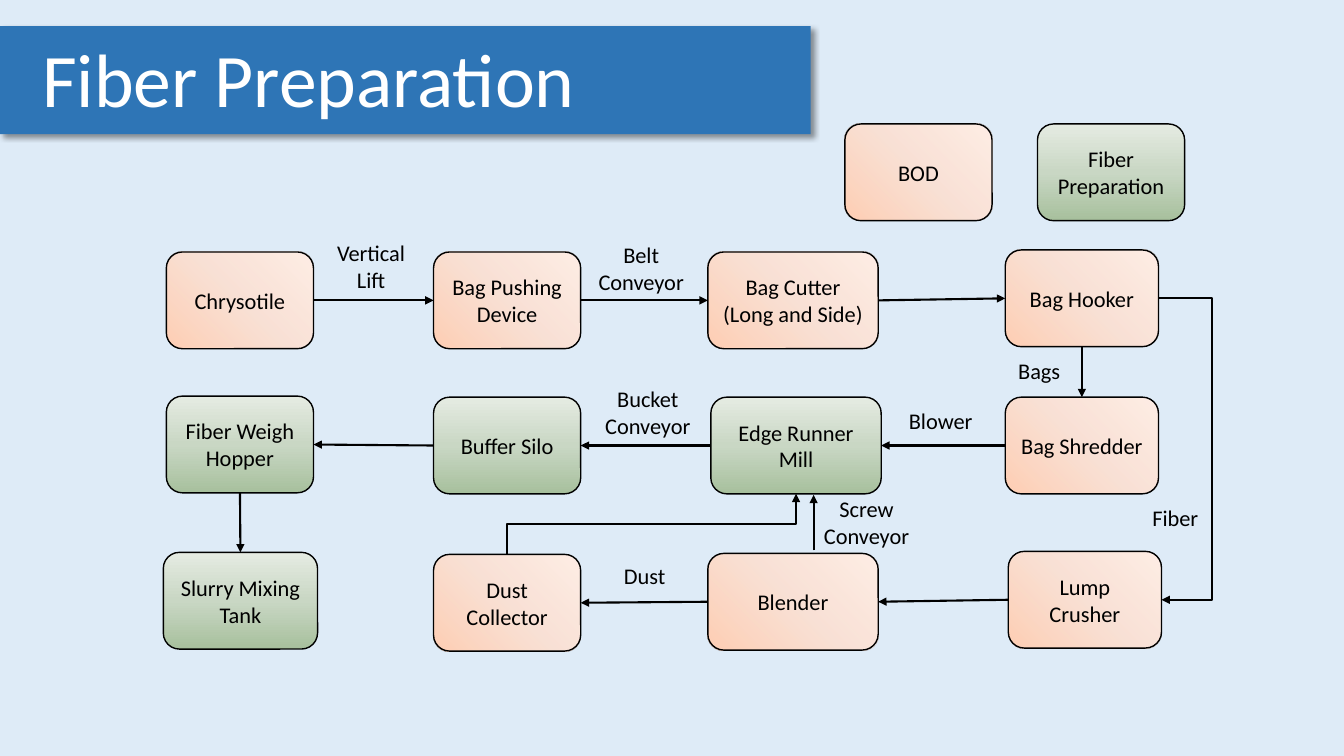
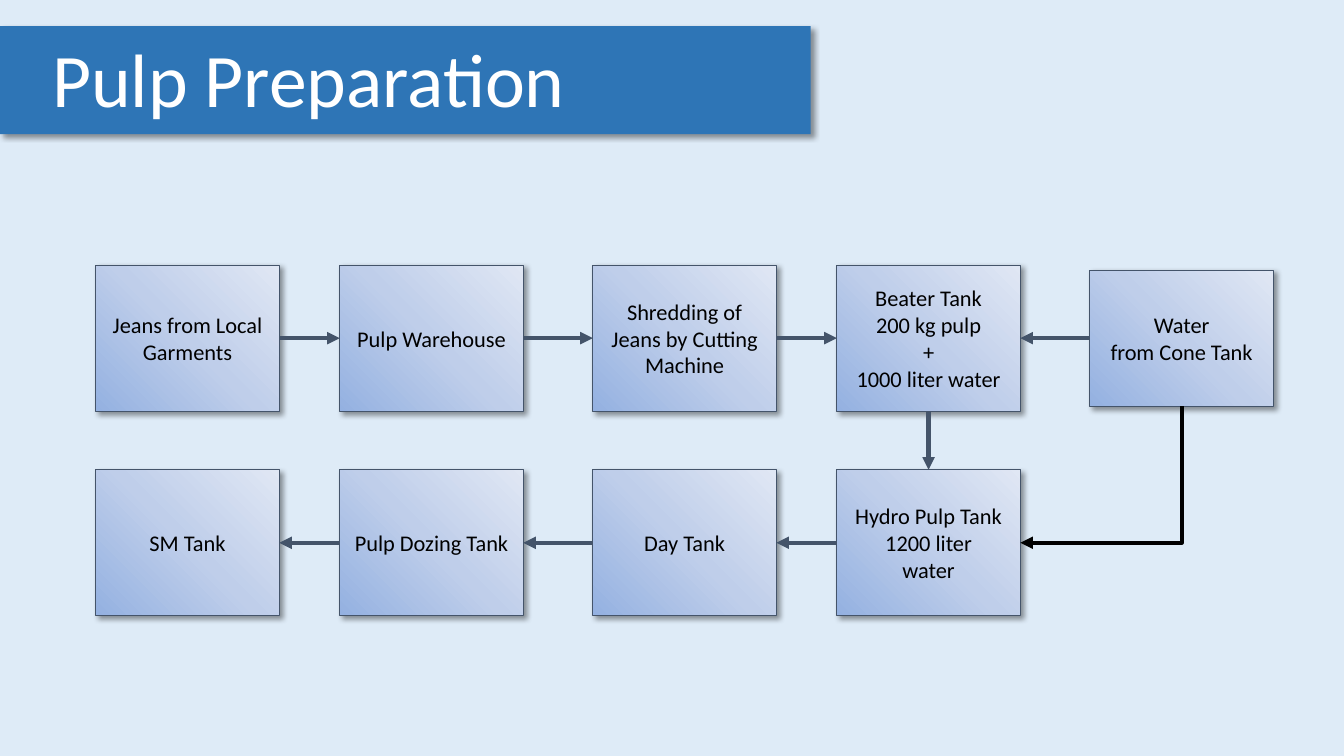
from dataclasses import dataclass

from pptx import Presentation
from pptx import util as u
from pptx.dml.color import RGBColor
from pptx.enum import shapes, text
from pptx.oxml import parse_xml
from pptx.oxml.ns import nsdecls, qn

PX = 9144  # EMU in one px, 100 px to the inch
TOP, LEFT, BOTTOM, RIGHT = range(4)  # connection sites of a box
CENTER, START = text.PP_ALIGN.CENTER, text.PP_ALIGN.LEFT


def px(*values):
    return [u.Emu(round(v * PX)) for v in values]


@dataclass(frozen=True)
class Gradient:
    stops: tuple  # (position %, colour, opacity %)
    angle: int


@dataclass(frozen=True)
class Theme:
    font: str = "Calibri"
    title_size: int = 54
    text_size: int = 16
    back: str = "DEEBF7"
    band: str = "2E75B6"
    white: str = "FFFFFF"
    ink: str = "000000"
    slate: str = "44546A"
    peach: Gradient = Gradient(
        ((0, "FFCEB3", 100), (50, "FFDFCF", 83), (100, "FFEFE7", 100)), 315)
    green: Gradient = Gradient(
        ((0, "A7C09D", 100), (50, "C9D7C4", 100), (100, "E5EBE2", 100)), 270)
    blue: Gradient = Gradient(
        ((0, "94B1E1", 100), (50, "BFCEEA", 100), (100, "E0E7F4", 100)), 315)


class Deck:
    """Holds the theme and the slide being drawn."""

    def __init__(self, theme):
        self.theme = theme
        self.prs = Presentation()
        self.prs.slide_width, self.prs.slide_height = u.Inches(13.33), u.Inches(7.5)
        self.paint(self.prs.slide_master.background.fill, theme.back)

    # Shared helpers
    def paint(self, fill, color):
        fill.solid()
        fill.fore_color.rgb = RGBColor.from_string(color)

    def outline(self, line, color, width):
        self.paint(line.fill, color)
        line.width = u.Pt(width)

    def blend(self, sp, gradient):
        stops = "".join(
            f'<a:gs pos="{pos * 1000}"><a:srgbClr val="{color}">'
            f'<a:alpha val="{alpha * 1000}"/></a:srgbClr></a:gs>'
            for pos, color, alpha in gradient.stops)
        sp.fill.gradient()
        spPr = sp._element.spPr
        spPr.replace(spPr.find(qn("a:gradFill")), parse_xml(
            f'<a:gradFill {nsdecls("a")} rotWithShape="1"><a:gsLst>{stops}</a:gsLst>'
            f'<a:lin ang="{gradient.angle * 60000}" scaled="0"/></a:gradFill>'))

    def cast_shadow(self, sp):
        sp.shadow.inherit = False
        sp._element.spPr.find(qn("a:effectLst")).append(parse_xml(
            f'<a:outerShdw {nsdecls("a")} blurRad="50800" dist="38100" dir="2700000" '
            'algn="tl" rotWithShape="0"><a:srgbClr val="000000">'
            '<a:alpha val="40000"/></a:srgbClr></a:outerShdw>'))

    def set_text(self, sp, words, size, color, align=CENTER,
                 anchor=text.MSO_ANCHOR.MIDDLE, insets=(10, 5, 10, 5)):
        tf = sp.text_frame
        tf.text = words
        left, top, right, bottom = px(*insets)
        frame = dict(word_wrap=True, auto_size=text.MSO_AUTO_SIZE.NONE,
                     vertical_anchor=anchor, margin_left=left, margin_top=top,
                     margin_right=right, margin_bottom=bottom)
        for name, value in frame.items():
            setattr(tf, name, value)
        for p in tf.paragraphs:
            p.alignment = align
            for r in p.runs:
                r.font.name, r.font.size = self.theme.font, u.Pt(size)
                r.font.color.rgb = RGBColor.from_string(color)

    # Elements
    def slide(self, title):
        layout = self.prs.slide_layouts.get_by_name("Title Only")
        self.shapes = self.prs.slides.add_slide(layout).shapes
        sp = self.shapes.title
        sp.left, sp.top, sp.width, sp.height = px(0, 26, 804, 107)
        self.paint(sp.fill, self.theme.band)
        self.cast_shadow(sp)
        self.set_text(sp, title, self.theme.title_size, self.theme.white,
                      insets=(0, 0, 192, 6))

    def box(self, words, at, gradient):
        """Rounded process step."""
        sp = self.shapes.add_shape(shapes.MSO_SHAPE.ROUNDED_RECTANGLE, *px(*at))
        sp.shadow.inherit = False
        self.blend(sp, gradient)
        self.outline(sp.line, self.theme.ink, 1)
        self.set_text(sp, words, self.theme.text_size, self.theme.ink)
        return sp

    def card(self, words, at):
        """Square process step with a shadow."""
        sp = self.shapes.add_shape(shapes.MSO_SHAPE.RECTANGLE, *px(*at))
        self.cast_shadow(sp)
        self.blend(sp, self.theme.blue)
        self.outline(sp.line, self.theme.slate, 0.75)
        self.set_text(sp, words, self.theme.text_size, self.theme.ink,
                      insets=(10, 10, 10, 10))
        return sp

    def label(self, words, at, align=CENTER):
        sp = self.shapes.add_textbox(*px(*at))
        self.set_text(sp, words, self.theme.text_size, self.theme.ink, align,
                      text.MSO_ANCHOR.TOP)

    def line(self, ends, color, width, kind=shapes.MSO_CONNECTOR.STRAIGHT):
        c = self.shapes.add_connector(kind, *ends)
        self.outline(c.line, color, width)
        spPr = c._element.spPr
        spPr.find(qn("a:ln")).append(
            parse_xml(f'<a:tailEnd {nsdecls("a")} type="triangle"/>'))
        spPr.append(parse_xml(f'<a:effectLst {nsdecls("a")}/>'))
        return c

    def site(self, sp, side):
        x = {LEFT: 0, RIGHT: sp.width}.get(side, sp.width // 2)
        y = {TOP: 0, BOTTOM: sp.height}.get(side, sp.height // 2)
        return sp.left + x, sp.top + y

    def arrow(self, a, side_a, b, side_b, color, width):
        c = self.line((*self.site(a, side_a), *self.site(b, side_b)), color, width)
        c.begin_connect(a, side_a)
        c.end_connect(b, side_b)

    def elbow(self, a, side_a, b, side_b, color, width, bends=2, via_x=None):
        """Bent arrow; one that leaves from top or bottom is turned by 90 degrees."""
        x0, y0, x1, y1 = ends = (*self.site(a, side_a), *self.site(b, side_b))
        turned = side_a in (TOP, BOTTOM)
        if turned:
            cx, cy = (x0 + x1) // 2, (y0 + y1) // 2
            ends = (cx + y0 - cy, cy - x0 + cx, cx + y1 - cy, cy - x1 + cx)
        c = self.line(ends, color, width, shapes.MSO_CONNECTOR.ELBOW)
        c.begin_connect(a, side_a)
        c.end_connect(b, side_b)
        for name, value in zip(("begin_x", "begin_y", "end_x", "end_y"), ends):
            setattr(c, name, value)
        spPr = c._element.spPr
        geom = spPr.find(qn("a:prstGeom"))
        geom.set("prst", f"bentConnector{bends + 1}")
        if turned:
            spPr.find(qn("a:xfrm")).set("rot", "5400000")
        if via_x is not None:
            adj = round((via_x * PX - x0) / (x1 - x0) * 100000)
            geom.replace(geom.find(qn("a:avLst")), parse_xml(
                f'<a:avLst {nsdecls("a")}><a:gd name="adj1" fmla="val {adj}"/></a:avLst>'))


def fiber_slide(deck):
    t = deck.theme
    deck.slide("Fiber Preparation")

    # Process steps: words, left, top, width
    steps = {
        t.green: [("Slurry Mixing Tank", 162, 548, 153),
                  ("Fiber Weigh Hopper", 165, 393, 146),
                  ("Buffer Silo", 430, 394, 146),
                  ("Edge Runner Mill", 705, 394, 169),
                  ("Fiber Preparation", 1029, 123, 146)],
        t.peach: [("Blender", 702, 549, 169),
                  ("Lump Crusher", 1000, 547, 152),
                  ("Bag Shredder", 997, 394, 152),
                  ("Bag Hooker", 997, 248, 152),
                  ("Bag Cutter\n(Long and Side)", 702, 250, 169),
                  ("Bag Pushing Device", 430, 250, 146),
                  ("Chrysotile", 165, 250, 146),
                  ("Dust Collector", 430, 550, 146),
                  ("BOD", 838, 123, 146)],
    }
    box = {words.split("\n")[0]: deck.box(words, (x, y, w, 96), gradient)
           for gradient, group in steps.items() for words, x, y, w in group}

    # Labels of the flows
    for words, *at in [("Bucket Conveyor", 562, 377, 161, 64),
                       ("Screw Conveyor", 791, 486, 137, 64),
                       ("Blower", 886, 399, 94, 37),
                       ("Belt Conveyor", 573, 234, 126, 64),
                       ("Vertical Lift", 309, 232, 118, 64)]:
        deck.label(words, at)
    for words, *at in [("Dust", 609, 553, 80, 37),
                       ("Bags", 1000, 349, 75, 37),
                       ("Fiber", 1133, 495, 75, 37)]:
        deck.label(words, at, START)

    # Flows
    pen = (t.ink, 1.5)
    flows = {
        (RIGHT, LEFT): [("Chrysotile", "Bag Pushing Device"),
                        ("Bag Pushing Device", "Bag Cutter"),
                        ("Bag Cutter", "Bag Hooker")],
        (LEFT, RIGHT): [("Bag Shredder", "Edge Runner Mill"),
                        ("Edge Runner Mill", "Buffer Silo"),
                        ("Buffer Silo", "Fiber Weigh Hopper"),
                        ("Lump Crusher", "Blender"),
                        ("Blender", "Dust Collector")],
        (BOTTOM, TOP): [("Bag Hooker", "Bag Shredder"),
                        ("Fiber Weigh Hopper", "Slurry Mixing Tank")],
    }
    for (side_a, side_b), pairs in flows.items():
        for a, b in pairs:
            deck.arrow(box[a], side_a, box[b], side_b, *pen)
    deck.line(px(807, 546, 807, 491), *pen)
    deck.elbow(box["Dust Collector"], TOP, box["Edge Runner Mill"], BOTTOM, *pen)
    deck.elbow(box["Bag Hooker"], RIGHT, box["Lump Crusher"], RIGHT, *pen, via_x=1202)


def pulp_slide(deck):
    t = deck.theme
    deck.slide("Pulp Preparation")

    # Two rows of cards on one grid
    columns = (95, 337, 588, 830)
    rows = {263: ("Jeans from Local Garments", "Pulp Warehouse",
                  "Shredding of Jeans by Cutting Machine",
                  "Beater Tank\n200 kg pulp\n+\n1000 liter water"),
            466: ("SM Tank", "Pulp Dozing Tank", "Day Tank",
                  "Hydro Pulp Tank\n1200 liter\nwater")}
    upper, lower = [[deck.card(words, (x, y, 182, 145))
                     for x, words in zip(columns, row)] for y, row in rows.items()]
    water = deck.card("Water\nfrom Cone Tank", (1081, 268, 182, 135))

    # Flows: right along the upper row, down, and back along the lower row
    pen = (t.slate, 3)
    for a, b in zip(upper, upper[1:]):
        deck.arrow(a, RIGHT, b, LEFT, *pen)
    for a, b in zip(lower[1:], lower):
        deck.arrow(a, LEFT, b, RIGHT, *pen)
    deck.arrow(upper[-1], BOTTOM, lower[-1], TOP, *pen)
    deck.arrow(water, LEFT, upper[-1], RIGHT, *pen)
    deck.elbow(water, BOTTOM, lower[-1], RIGHT, t.ink, 3, bends=1)


def main():
    deck = Deck(Theme())
    fiber_slide(deck)
    pulp_slide(deck)
    deck.prs.save("out.pptx")


if __name__ == "__main__":
    main()
